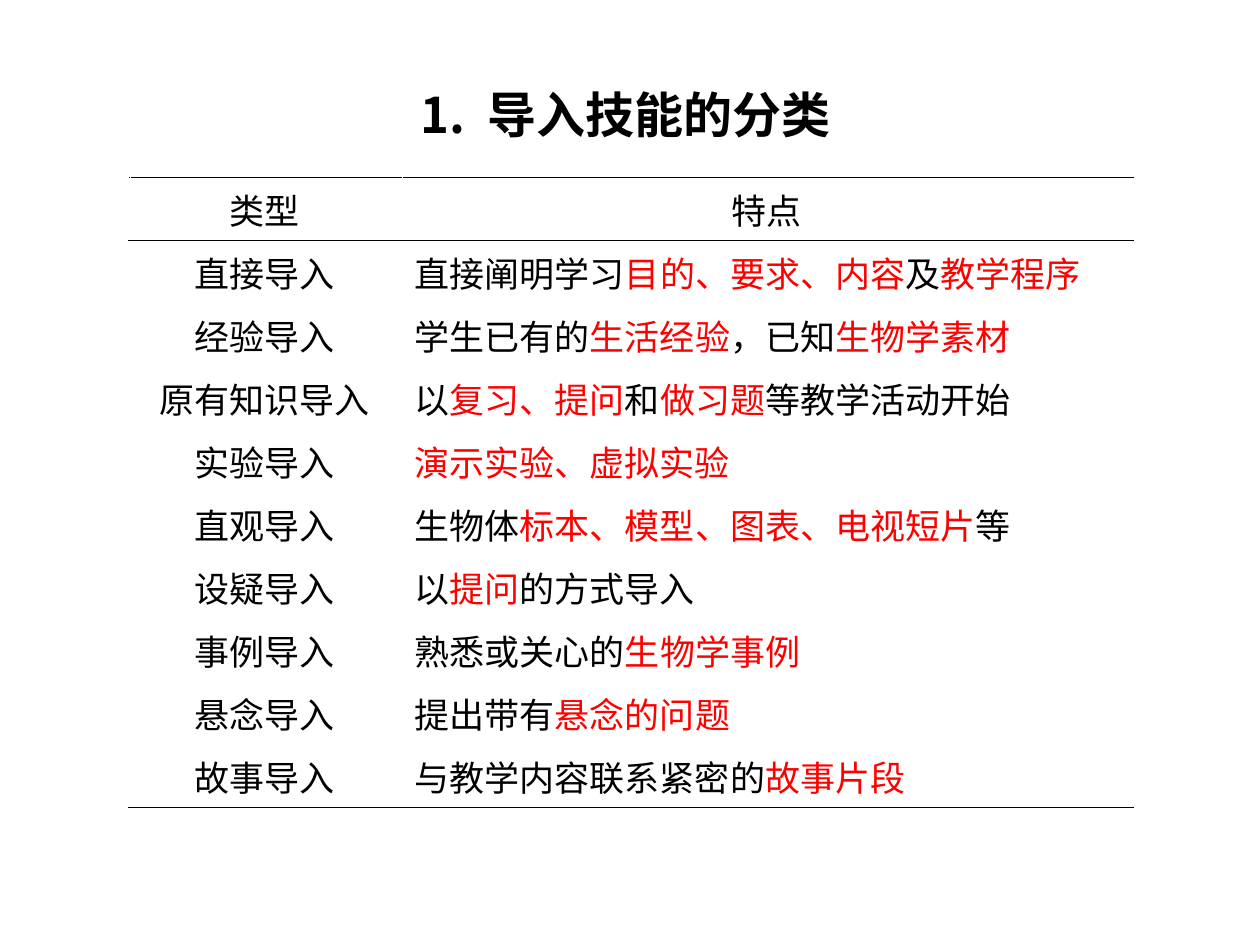
from typing import NamedTuple

from lxml import etree
from pptx import Presentation
from pptx.dml.color import RGBColor
from pptx.enum.text import MSO_ANCHOR, MSO_AUTO_SIZE, PP_ALIGN
from pptx.oxml.ns import qn
from pptx.util import Pt

LEFT, MID = PP_ALIGN.LEFT, PP_ALIGN.CENTER
TOP, CENTRE = MSO_ANCHOR.TOP, MSO_ANCHOR.MIDDLE
GROW = MSO_AUTO_SIZE.SHAPE_TO_FIT_TEXT
NOTO, LATIN = "Noto Sans CJK SC", "Calibri"
BLACK, WHITE, RED = "000000", "FFFFFF", "FF0000"


class Entry(NamedTuple):
    text: str  # parts between asterisks are red
    font: str = NOTO
    align: PP_ALIGN = MID


class Grid(NamedTuple):
    left: float
    col: int
    items: list[Entry | None]


WIDTHS, ROW, ROWS = (155.5, 418.3), 36, 10

TYPES = [
    Entry("类型", LATIN),
    Entry("直接导入"),
    Entry("经验导入", LATIN),
    Entry("原有知识导入"),
    Entry("实验导入"),
    Entry("直观导入"),
    Entry("设疑导入"),
    Entry("事例导入"),
    Entry("悬念导入"),
    Entry("故事导入"),
]
TRAITS = [
    Entry("直接阐明学习*目的、要求、内容*及*教学程序*", NOTO, LEFT),
    Entry("学生已有的*生活经验*，已知*生物学素材*", LATIN, LEFT),
    Entry("以*复习、提问*和*做习题*等教学活动开始", LATIN, LEFT),
    Entry("*演示实验、虚拟实验*", LATIN, LEFT),
    Entry("生物体*标本、模型、图表、电视短片*等", LATIN, LEFT),
    Entry("以*提问*的方式导入", LATIN, LEFT),
    Entry("熟悉或关心的*生物学事例*", LATIN, LEFT),
    Entry("提出带有*悬念的问题*", LATIN, LEFT),
    Entry("与教学内容联系紧密的*故事片段*", NOTO, LEFT),
]


def paint(color, code: str) -> None:
    color.rgb = RGBColor.from_string(code)


def write(para, text: str, size: float = 20, font: str = NOTO,
          color: str = BLACK, bold: bool = False, gap: float = 0) -> None:
    """Add one run; gap is extra letter spacing in points."""
    run = para.add_run()
    run.text = text
    run.font.size, run.font.name, run.font.bold = Pt(size), font, bold
    paint(run.font.color, color)
    props = run.font._element
    etree.SubElement(props, qn("a:ea"), typeface=NOTO)
    if gap:
        props.set("spc", str(round(gap * 100)))


def edge(cell, row: int) -> None:
    """Black rules above and below the header and under the last row."""
    props = cell._tc.get_or_add_tcPr()
    top = BLACK if row < 2 else WHITE
    base = BLACK if row in (0, ROWS - 1) else WHITE
    sides = {"lnL": WHITE, "lnR": WHITE, "lnT": top, "lnB": base}
    for spot, (side, code) in enumerate(sides.items()):
        line = etree.Element(qn(f"a:{side}"), w=str(Pt(0.45)))
        fill = etree.SubElement(line, qn("a:solidFill"))
        etree.SubElement(fill, qn("a:srgbClr"), val=code)
        props.insert(spot, line)


def draw(slide, grid: Grid) -> None:
    frame = slide.shapes.add_table(
        ROWS, len(WIDTHS), Pt(grid.left), Pt(101.5),
        Pt(sum(WIDTHS)), Pt(ROW * ROWS))
    table = frame.table
    table.first_row = table.horz_banding = False
    for col, width in zip(table.columns, WIDTHS):
        col.width = Pt(width)
    for row in range(ROWS):
        table.rows[row].height = Pt(ROW)
        for cell in table.rows[row].cells:
            cell.fill.background()
            cell.vertical_anchor = CENTRE
            edge(cell, row)
    for row, item in enumerate(grid.items):
        if item:
            fill_cell(table.cell(row, grid.col), item)


def fill_cell(cell, item: Entry) -> None:
    para = cell.text_frame.paragraphs[0]
    para.alignment = item.align
    for turn, part in enumerate(item.text.split("*")):
        if part:
            write(para, part, font=item.font, color=RED if turn % 2 else BLACK)


def main() -> None:
    deck = Presentation()
    deck.slide_width, deck.slide_height = Pt(720), Pt(540)
    slide = deck.slides.add_slide(deck.slide_layouts[5])

    # Title
    title = slide.shapes.title
    title.left, title.top = Pt(73.5), Pt(28)
    title.width, title.height = Pt(568), Pt(57.6)
    frame = title.text_frame
    frame.word_wrap, frame.auto_size = True, GROW
    frame.vertical_anchor = TOP
    para = frame.paragraphs[0]
    para.alignment, para.line_spacing = MID, 1.5
    for text, gap in (("1.", 0), (" ", 6.5), ("导入技能的分类", 0)):
        write(para, text, size=28, bold=True, gap=gap)

    # Types with the column heads, then the traits laid over them
    draw(slide, Grid(73.5, 0, TYPES))
    draw(slide, Grid(74.2, 1, [None, *TRAITS]))
    head = slide.shapes[1].table.cell(0, 1)
    fill_cell(head, Entry("特点", LATIN))

    deck.save("out.pptx")


if __name__ == "__main__":
    main()
